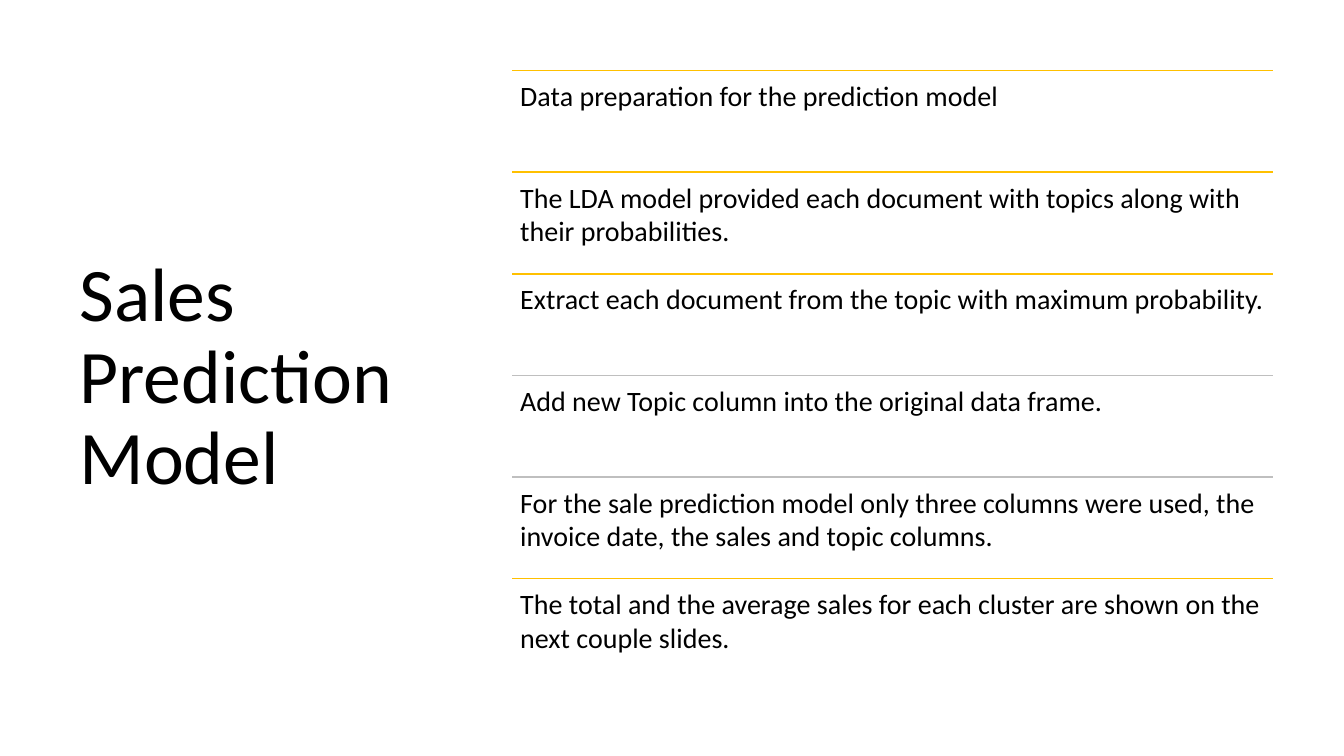
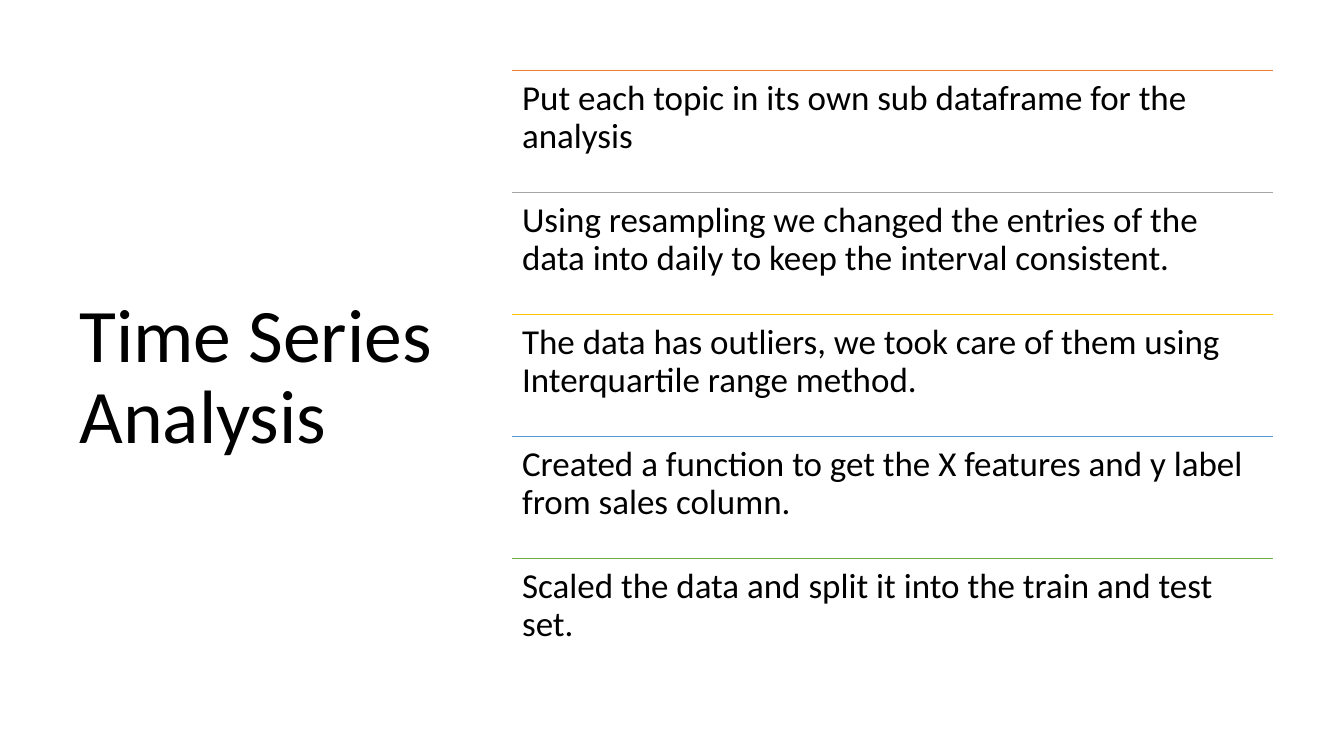
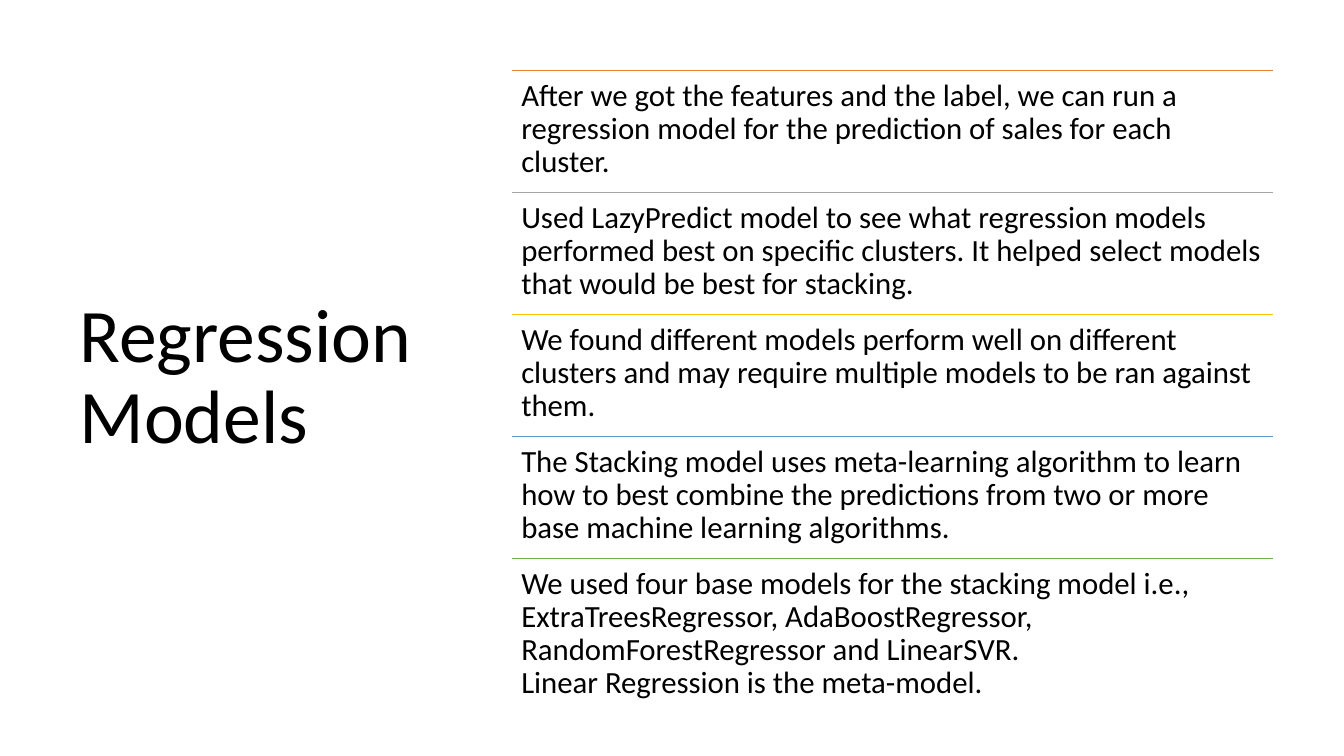
from dataclasses import dataclass

from lxml.etree import SubElement
from pptx import Presentation
from pptx.dml.color import RGBColor as RGB
from pptx.enum.shapes import MSO_CONNECTOR as Link
from pptx.enum.text import MSO_ANCHOR as Anchor
from pptx.oxml.ns import qn
from pptx.util import Inches, Pt


@dataclass(frozen=True)
class Theme:
    font: str = "Calibri"
    ink: str = "000000"
    gold: str = "FFC000"
    pale: str = "BFBFBF"
    rust: str = "ED7D31"
    grey: str = "A5A5A5"
    blue: str = "599BD5"
    green: str = "70AD47"
    title: int = 54
    large: int = 25
    medium: int = 22
    small: int = 20
    rule: int = 1
    tight: float = 0.9


# Shared layout, in inches
TITLE = (0.69, 0.7, 3.74, 6.11)
LEFT, TOP, WIDTH, HEIGHT = 5.08, 0.7, 7.55, 6.05


class Deck:
    def __init__(self, theme):
        self.theme = theme
        self.prs = Presentation()
        self.prs.slide_width = Inches(13.33)
        self.prs.slide_height = Inches(7.5)
        self.slide = None

    def start(self, title):
        self.slide = self.prs.slides.add_slide(self.prs.slide_layouts[6])
        self.text(TITLE, title, self.theme.title, (0.1, 0.05),
                  self.theme.tight, Anchor.MIDDLE)

    def text(self, area, words, size, inset, space, anchor=Anchor.TOP):
        box = self.slide.shapes.add_textbox(*map(Inches, area))
        frame = box.text_frame
        frame.word_wrap = True
        frame.vertical_anchor = anchor
        side, edge = map(Inches, inset)
        frame.margin_left = frame.margin_right = side
        frame.margin_top = frame.margin_bottom = edge
        frame.text = words
        for para in frame.paragraphs:
            para.line_spacing = space
            para.font.name = self.theme.font
            para.font.size = Pt(size)
            para.font.color.rgb = RGB.from_string(self.theme.ink)

    def rule(self, top, color):
        line = self.slide.shapes.add_connector(
            Link.STRAIGHT, Inches(LEFT), Inches(top),
            Inches(LEFT + WIDTH), Inches(top))
        line.line.color.rgb = RGB.from_string(color)
        line.line.width = Pt(self.theme.rule)
        SubElement(line._element.spPr, qn("a:effectLst"))

    def rows(self, items, colors, size, inset, space, extra=0):
        """Ruled rows of equal height; the last may be taller by extra."""
        step = HEIGHT / len(items)
        for i, (words, color) in enumerate(zip(items, colors)):
            top = TOP + i * step
            tall = step + (extra if i == len(items) - 1 else 0)
            self.rule(top, color)
            self.text((LEFT, top, WIDTH, tall), words, size,
                      (inset, inset), space)


def main():
    look = Theme()
    deck = Deck(look)
    golds = [look.gold] * 3 + [look.pale] * 2 + [look.gold]
    mixed = [look.rust, look.grey, look.gold, look.blue, look.green]

    # Sales prediction
    deck.start("Sales Prediction Model")
    deck.rows([
        "Data preparation for the prediction model",
        "The LDA model provided each document with topics along with "
        "their probabilities.",
        "Extract each document from the topic with maximum probability.",
        "Add new Topic column into the original data frame.",
        "For the sale prediction model only three columns were used, the "
        "invoice date, the sales and topic columns.",
        "The total and the average sales for each cluster are shown on the "
        "next couple slides.",
    ], golds, look.small, 0.08, 1.0)

    # Time series
    deck.start("Time Series Analysis")
    deck.rows([
        "Put each topic in its own sub dataframe for the analysis",
        "Using resampling we changed the entries of the data into daily to "
        "keep the interval consistent.",
        "The data has outliers, we took care of them using Interquartile "
        "range method.",
        "Created a function to get the X features and y label from sales "
        "column.",
        "Scaled the data and split it into the train and test set.",
    ], mixed, look.large, 0.1, look.tight)

    # Regression
    deck.start("Regression Models")
    deck.rows([
        "After we got the features and the label, we can run a regression "
        "model for the prediction of sales for each cluster.",
        "Used LazyPredict model to see what regression models performed best "
        "on specific clusters. It helped select models that would be best "
        "for stacking.",
        "We found different models perform well on different clusters and "
        "may require multiple models to be ran against them.",
        "The Stacking model uses meta-learning algorithm to learn how to "
        "best combine the predictions from two or more base machine learning "
        "algorithms.",
        "We used four base models for the stacking model i.e., "
        "ExtraTreesRegressor, AdaBoostRegressor, RandomForestRegressor and "
        "LinearSVR.\nLinear Regression is the meta-model.",
    ], mixed, look.medium, 0.09, look.tight, extra=0.38)

    deck.prs.save("out.pptx")


if __name__ == "__main__":
    main()
